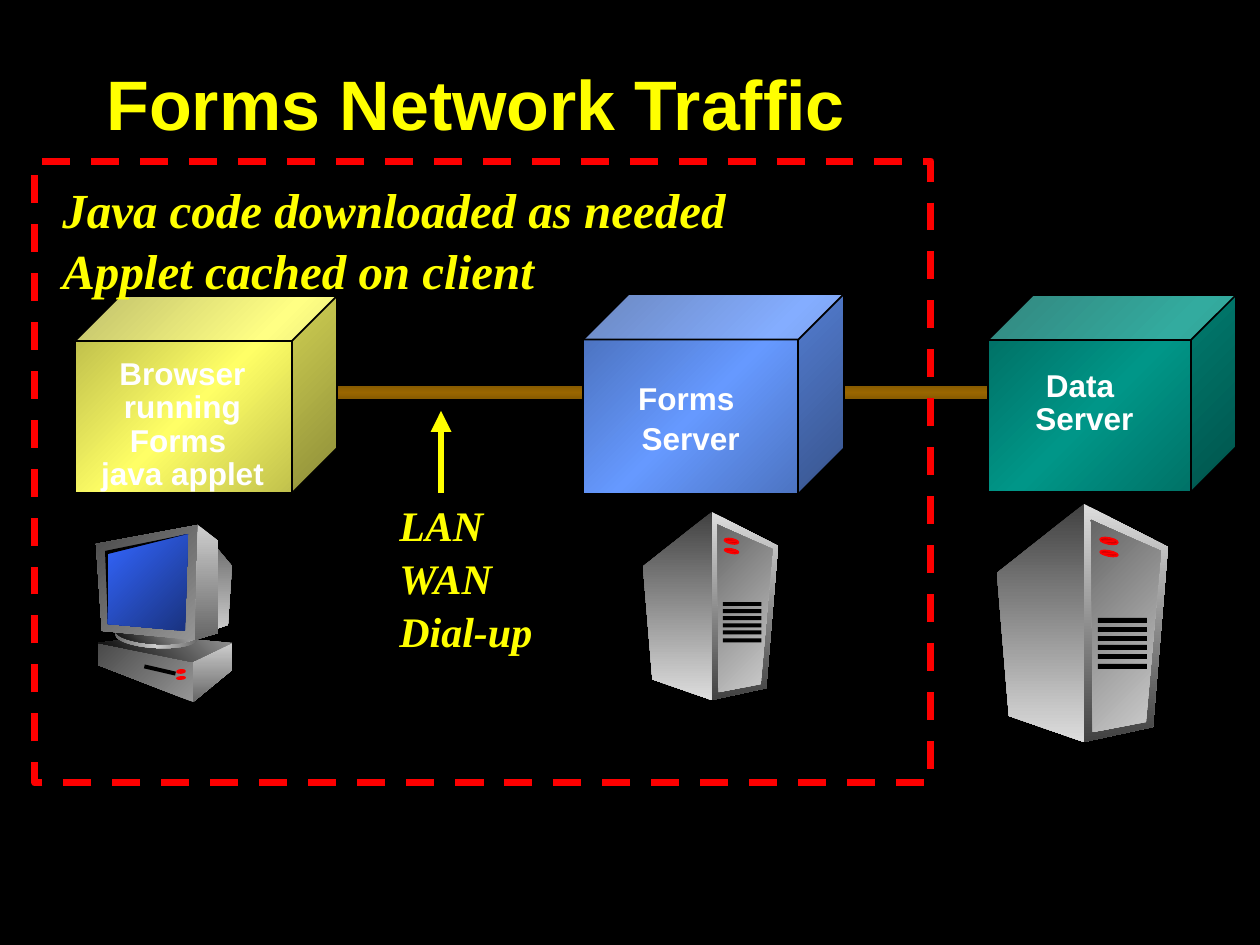
import copy

import pptx
import pptx.dml.color
import pptx.enum.dml
import pptx.enum.shapes
import pptx.enum.text
import pptx.oxml
import pptx.oxml.ns
import pptx.util

PX = 914400 / 126
SHAPES = pptx.enum.shapes.MSO_SHAPE
ALIGN = pptx.enum.text.PP_ALIGN
NS = 'xmlns:a="http://schemas.openxmlformats.org/drawingml/2006/main"'
qn = pptx.oxml.ns.qn
rgb = pptx.dml.color.RGBColor.from_string


def paint(shape, colours, angle=None, line=None, width=1):
    """Fill with one colour, or an even gradient (clockwise angle, None = rectangular)."""
    shape.shadow.inherit = False
    if not colours:
        shape.fill.background()
    elif len(colours) == 1:
        shape.fill.solid()
        shape.fill.fore_color.rgb = rgb(colours[0])
    else:
        shape.fill.gradient()
        gradient = shape._element.spPr.find(qn("a:gradFill"))
        stop_list = gradient.find(qn("a:gsLst"))
        for _ in colours[2:]:
            stop_list.append(copy.deepcopy(stop_list[0]))
        for i, (stop, colour) in enumerate(zip(shape.fill.gradient_stops, colours)):
            stop.color.rgb = rgb(colour)
            stop.position = i / (len(colours) - 1)
        if angle is None:
            gradient.replace(gradient.find(qn("a:lin")), pptx.oxml.parse_xml(
                f'<a:path {NS} path="rect"><a:fillToRect l="50000" t="50000" '
                'r="50000" b="50000"/></a:path>'))
        else:
            shape.fill.gradient_angle = (360 - angle) % 360
    if line:
        shape.line.color.rgb = rgb(line)
        shape.line.width = pptx.util.Pt(width)
    else:
        shape.line.fill.background()


def write(frame, lines, size, font, colour, align, spacing, italic=False, shadow=False):
    for i, line in enumerate(lines):
        paragraph = frame.paragraphs[0] if i == 0 else frame.add_paragraph()
        paragraph.alignment = align
        paragraph.line_spacing = spacing
        run = paragraph.add_run()
        run.text = line
        run.font.size = pptx.util.Pt(size)
        run.font.name = font
        run.font.bold = True
        run.font.italic = italic
        run.font.color.rgb = rgb(colour)
        if shadow:
            run._r.rPr.find(qn("a:solidFill")).addnext(pptx.oxml.parse_xml(
                f'<a:effectLst {NS}><a:outerShdw dist="17961" dir="2700000">'
                '<a:srgbClr val="000000"/></a:outerShdw></a:effectLst>'))


presentation = pptx.Presentation()
presentation.slide_width = pptx.util.Inches(10)
presentation.slide_height = pptx.util.Inches(7.5)
slide = presentation.slides.add_slide(presentation.slide_layouts[5])
slide.background.fill.solid()
slide.background.fill.fore_color.rgb = rgb("000000")

# Title
title = slide.shapes.title
title.left, title.top, title.width, title.height = (int(n * PX) for n in (94, 73, 1029, 73))
write(title.text_frame, ["Forms Network Traffic"], 40, "Arial", "FFFF00", ALIGN.LEFT, 0.85)

# Network line behind the cubes
network = slide.shapes.add_shape(SHAPES.RECTANGLE, *(int(n * PX) for n in (310, 386, 687, 13)))
paint(network, ["885B00", "996600", "885B00"], 90)

# Cubes
cubes = [
    ((75, 296, 262, 197), "B1B146", "FFFF66"),
    ((988, 295, 248, 197), "00685E", "009688"),
    ((583, 294, 261, 200), "466AB1", "6699FF"),
]
for box, edge, middle in cubes:
    cube = slide.shapes.add_shape(SHAPES.CUBE, *(int(n * PX) for n in box))
    cube.adjustments[0] = 0.228
    paint(cube, [edge, middle, edge], 225, "000000")

# The Forms cube, last in the list, carries its own label
cube.text_frame.word_wrap = False
cube.text_frame.vertical_anchor = pptx.enum.text.MSO_ANCHOR.MIDDLE
write(cube.text_frame, ["Forms ", "Server"], 18, "Arial", "FFFFFF", ALIGN.CENTER, 1.05)

# Labels over the other cubes
labels = [
    ((64, 352, 237, 140), ["Browser running Forms ", "java applet"]),
    ((934, 364, 301, 76), ["Data ", "Server"]),
]
for box, lines in labels:
    label = slide.shapes.add_textbox(*(int(n * PX) for n in box))
    label.text_frame.word_wrap = True
    write(label.text_frame, lines, 18, "Arial", "FFFFFF", ALIGN.CENTER, 0.89, shadow=True)

# Notes in italics
notes = [
    ((50, 170, 689, 131), ["Java code downloaded as needed", "Applet cached on client"], 28),
    ((387, 491, 159, 164), ["LAN", "WAN", "Dial-up"], 24),
]
for box, lines, size in notes:
    note = slide.shapes.add_textbox(*(int(n * PX) for n in box))
    note.text_frame.word_wrap = False
    write(note.text_frame, lines, size, "Times New Roman", "FFFF00", ALIGN.LEFT, 1.05, italic=True)

# Icon parts: outline points or (preset, box), colours, angle, rotation
LED = ["FD0000", "7D0000"]
LIGHT = ["CECECE", "666666"]
DARK = ["969696", "4A4A4A"]
server = [
    ([(87, 238), (87, 0), (0, 69), (12, 212)], ["414141", "DDDDDD"], 90, 0),
    ([(87, 238), (87, 0), (171, 43), (156, 223)], ["DDDDDD", "414141"], 90, 0),
    ([(94, 16), (96, 228), (149, 218), (164, 47), (132, 33)], LIGHT, 225, 0),
    ((SHAPES.OVAL, (103, 47, 18, 5)), LED, None, 11),
    ((SHAPES.OVAL, (103, 34, 18, 6)), LED, None, 11),
]
for i in range(6):
    server.append(((SHAPES.RECTANGLE, (101, 114 + i * 46 // 5, 49, 5)), ["000000"], None, 0))

computer = [
    ([(208, 537), (232, 566), (228, 625), (204, 633)], LIGHT[::-1], 90, 0),
    ([(98, 643), (193, 662), (193, 702), (98, 665)], DARK, 225, 0),
    ([(193, 662), (193, 702), (232, 670), (232, 643)], LIGHT, 90, 0),
    ([(98, 643), (152, 636), (232, 643), (192, 662)], ["969696", "000000"], 135, 0),
    ((SHAPES.OVAL, (115, 625, 83, 23)), ["666666", "CECECE", "666666"], 180, 3),
    ((SHAPES.OVAL, (115, 621, 83, 23)), ["CECECE", "000000"], 135, 3),
    ([(195, 640), (198, 525), (96, 544), (102, 631)], DARK, 225, 0),
    ([(198, 525), (218, 541), (218, 633), (195, 640)], LIGHT, 90, 0),
    ([(108, 553), (108, 624), (185, 631), (188, 534)], ["19327E", "3366FF"], 225, 0),
    ([(108, 625), (105, 551), (188, 534), (108, 554)], ["000000"], None, 0),
    ((SHAPES.OVAL, (177, 670, 8, 3)), LED, None, 355),
    ((SHAPES.OVAL, (177, 677, 8, 2)), LED, None, 355),
    ((SHAPES.RECTANGLE, (144, 668, 32, 4)), ["000000"], None, 13),
]

# Each icon: left, top, size factor, parts
icons = [(997, 504, 1, server), (643, 512, 0.79, server), (0, 0, 1, computer)]
for left, top, factor, parts in icons:
    group = slide.shapes.add_group_shape()
    scale = PX * factor
    origin_x, origin_y = int(left * PX), int(top * PX)
    for outline, colours, angle, rotation in parts:
        if isinstance(outline, list):
            builder = group.shapes.build_freeform(*outline[0], scale=scale)
            builder.add_line_segments(outline[1:], close=True)
            part = builder.convert_to_shape(origin_x, origin_y)
        else:
            preset, (x, y, width, height) = outline
            part = group.shapes.add_shape(
                preset, origin_x + int(x * scale), origin_y + int(y * scale),
                int(width * scale), int(height * scale))
            part.rotation = rotation
        paint(part, colours, angle, "FD0000" if colours is LED else None)

# Arrow up to the network line
arrow = slide.shapes.add_connector(
    pptx.enum.shapes.MSO_CONNECTOR.STRAIGHT, *(int(n * PX) for n in (441, 411, 441, 493)))
arrow.line.color.rgb = rgb("FFFF00")
arrow.line.width = pptx.util.Pt(4)
arrow.line._get_or_add_ln().append(pptx.oxml.parse_xml(f'<a:headEnd {NS} type="triangle"/>'))
arrow._element.spPr.append(pptx.oxml.parse_xml(f"<a:effectLst {NS}/>"))

# Dashed frame around the client and the Forms server
frame = slide.shapes.add_shape(SHAPES.RECTANGLE, *(int(n * PX) for n in (35, 161, 896, 622)))
paint(frame, [], line="FD0000", width=4)
frame.line.dash_style = pptx.enum.dml.MSO_LINE.DASH

presentation.save("out.pptx")
